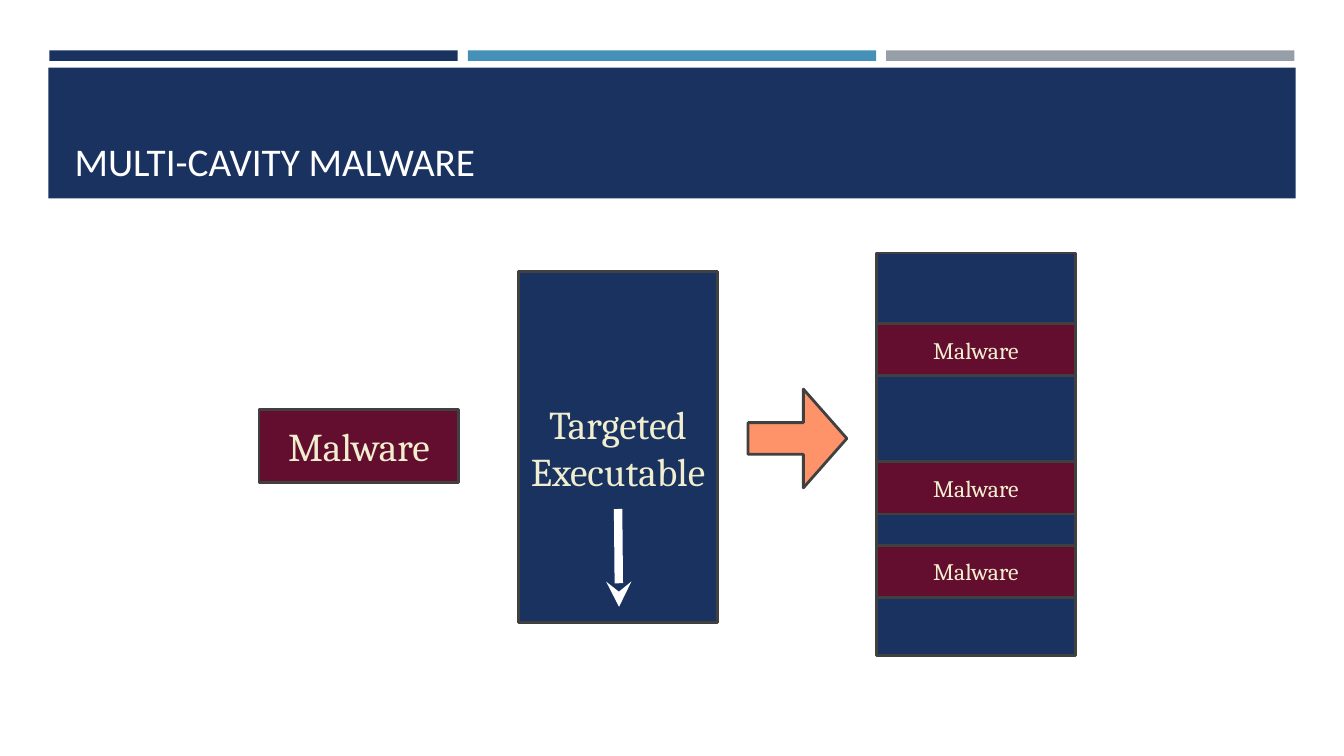
from dataclasses import dataclass

from pptx import Presentation
from pptx.dml.color import RGBColor as RGB
from pptx.enum.shapes import MSO_CONNECTOR as LINK, MSO_SHAPE as KIND
from pptx.enum.text import MSO_ANCHOR as ANCHOR, MSO_AUTO_SIZE as FIT, PP_ALIGN as ALIGN
from pptx.oxml.ns import qn
from pptx.util import Inches, Pt

WIDE, HIGH = Inches(13.33), Inches(7.5)


@dataclass(frozen=True)
class Theme:
    navy: str = "1A3260"
    blue: str = "4590B8"
    gray: str = "969FA7"
    wine: str = "640E2F"
    coral: str = "FE936A"
    edge: str = "404040"
    cream: str = "F0EECF"
    white: str = "FFFFFF"
    head: str = "Calibri"
    body: str = "Cambria"
    title: float = 28
    large: float = 28.1
    small: float = 16.9


THEME = Theme()


# Lengths are percent shares of the slide's width and height
def across(share):
    return round(WIDE * share / 100)


def down(share):
    return round(HIGH * share / 100)


def place(x, y, w, h):
    return across(x), down(y), across(w), down(h)


def style(para, face, size, color, align):
    para.alignment = align
    para.font.name = face
    para.font.size = Pt(size)
    para.font.color.rgb = RGB.from_string(color)


def add_block(slide, area, fill, edge=True, kind=KIND.RECTANGLE):
    block = slide.shapes.add_shape(kind, *place(*area))
    block.shadow.inherit = False
    block.fill.solid()
    block.fill.fore_color.rgb = RGB.from_string(fill)
    if edge:
        block.line.color.rgb = RGB.from_string(THEME.edge)
        block.line.width = Pt(2)
    else:
        block.line.fill.background()
    return block


def add_label(block, lines, size):
    frame = block.text_frame
    frame.word_wrap = True
    frame.vertical_anchor = ANCHOR.MIDDLE
    frame.margin_left = frame.margin_right = 0
    frame.margin_top = frame.margin_bottom = 0
    for n, line in enumerate(lines):
        para = frame.add_paragraph() if n else frame.paragraphs[0]
        para.text = line
        style(para, THEME.body, size, THEME.cream, ALIGN.CENTER)


def add_arrow(slide, start, end):
    arrow = slide.shapes.add_connector(
        LINK.STRAIGHT, across(start[0]), down(start[1]), across(end[0]), down(end[1]))
    arrow.line.color.rgb = RGB.from_string(THEME.white)
    arrow.line.width = Pt(6)
    line = arrow.line._get_or_add_ln()
    line.append(line.makeelement(qn("a:headEnd"), {"type": "stealth"}))
    props = arrow._element.spPr
    props.append(props.makeelement(qn("a:effectLst"), {}))


def add_header(slide, text):
    # Three bars above the title band
    for n, color in enumerate((THEME.navy, THEME.blue, THEME.gray)):
        add_block(slide, (3.68 + 31.13 * n, 6.67, 30.38, 1.37), color, edge=False)
    add_block(slide, (3.6, 8.93, 92.8, 17.33), THEME.navy, edge=False)

    # Title, raised in front of the band
    title = slide.shapes.title
    title.left, title.top, title.width, title.height = place(4.8, 10.27, 90.47, 14.8)
    frame = title.text_frame
    frame.text = text
    frame.word_wrap = True
    frame.auto_size = FIT.NONE
    frame.vertical_anchor = ANCHOR.BOTTOM
    style(frame.paragraphs[0], THEME.head, THEME.title, THEME.white, ALIGN.LEFT)
    slide.shapes._spTree.append(title._element)


def main():
    deck = Presentation()
    deck.slide_width, deck.slide_height = WIDE, HIGH
    slide = deck.slides.add_slide(deck.slide_layouts[5])
    add_header(slide, "MULTI-CAVITY MALWARE")
    wide, last = 14.85, 65.19

    # Target program and its direction
    target = add_block(slide, (38.56, 35.87, wide, 46.53), THEME.navy)
    add_label(target, ("Targeted", "Executable"), THEME.large)
    add_arrow(slide, (46.06, 80.27), (45.99, 67.33))

    # Step to the infected program
    step = add_block(slide, (55.66, 51.47, 7.35, 13.07), THEME.coral,
                     kind=KIND.RIGHT_ARROW)
    step.adjustments[0], step.adjustments[1] = 0.32, 0.44
    add_block(slide, (last, 33.47, wide, 53.2), THEME.navy)

    # Malware, whole and then split over the cavities
    whole = add_block(slide, (19.28, 54.13, wide, 9.73), THEME.wine)
    add_label(whole, ("Malware",), THEME.large)
    for top in (42.8, 61.07, 72.13):
        part = add_block(slide, (last, top, wide, 6.93), THEME.wine)
        add_label(part, ("Malware",), THEME.small)

    deck.save("out.pptx")


if __name__ == "__main__":
    main()
